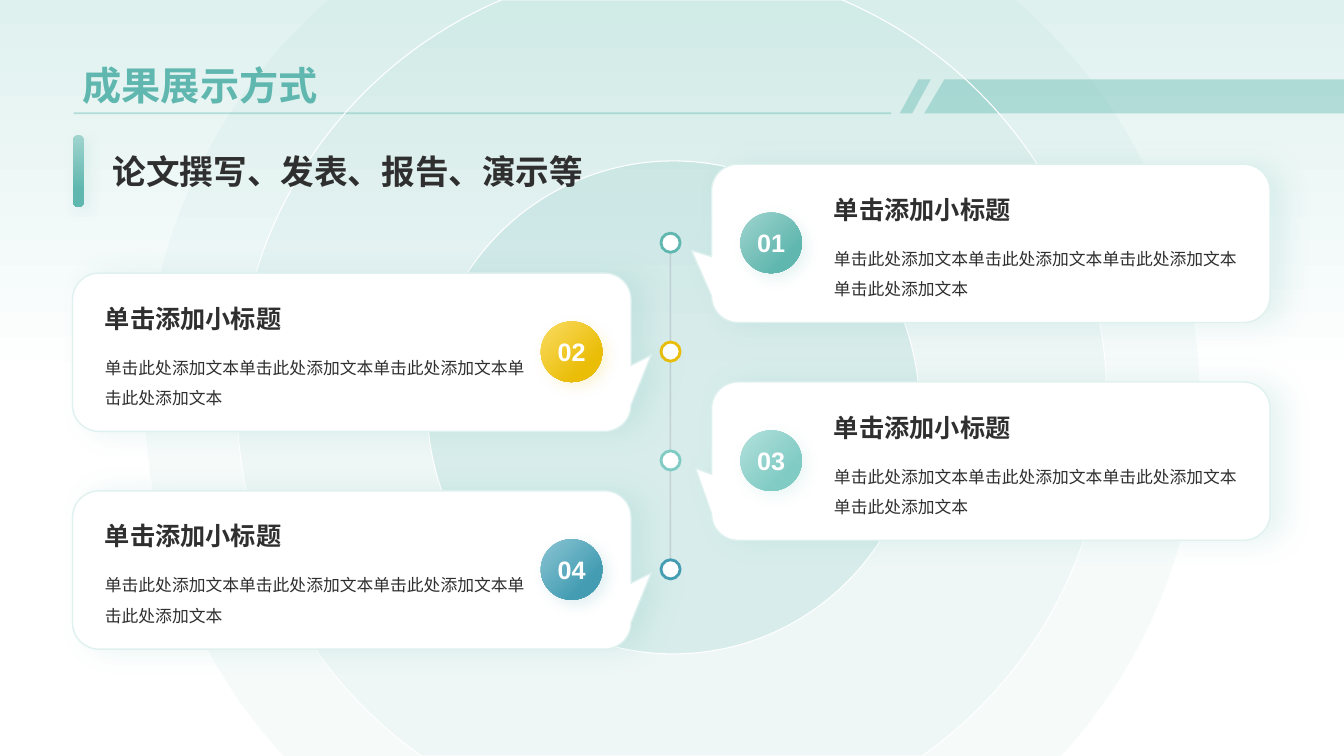
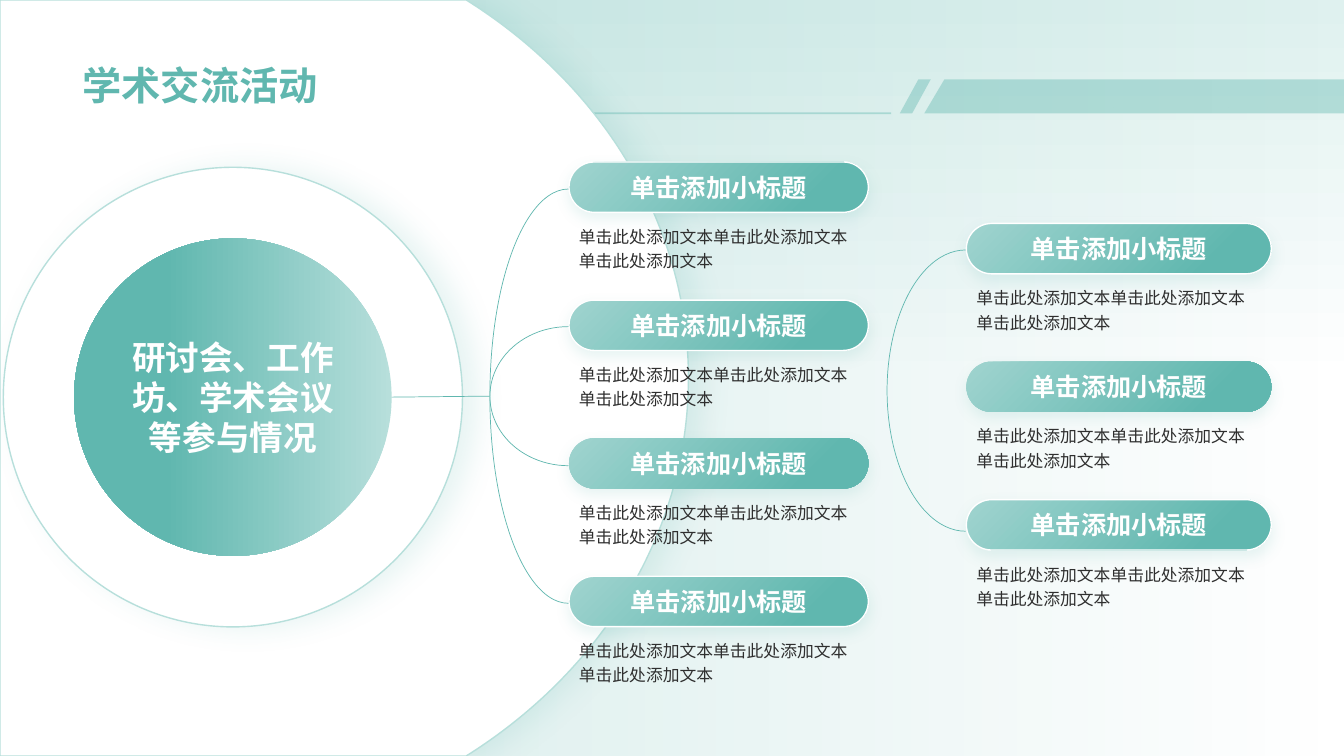
import math
from dataclasses import dataclass
from typing import NamedTuple, Optional, Union

from lxml import etree
from pptx import Presentation
from pptx import util as u
from pptx.dml.color import RGBColor
from pptx.enum import shapes, text
from pptx.oxml.ns import qn

# The slide is a grid of square cells, ten to the inch
COLUMNS, ROWS = 133.33, 75
PITCH = 10.8
PILL_PITCH = 13.7
CARD_COLUMNS, CARD_ROWS = 55.4, 15.7
FONT = "Arial"
HEADING = "单击添加小标题"
PHRASE = "单击此处添加文本"
COLORS = {
    "teal": "60B7AF", "teal_light": "A0D4CF", "teal_soft": "B7DFDB",
    "mist": "DFF1EF", "white": "FFFFFF", "ink": "2F2F2F", "gray": "ADB5BF",
    "yellow": "EABD07", "yellow_light": "FADC62",
    "mint": "80CBC4", "mint_light": "B3E0DC",
    "blue": "439CB2", "blue_light": "8BC5D4",
}


class Area(NamedTuple):
    column: float
    row: float
    columns: float
    rows: float


class Solid(NamedTuple):
    color: str
    opacity: float = 100


class Gradient(NamedTuple):
    start: str
    end: str
    stop: float
    angle: float
    opacities: tuple = (100, 100)


class Stroke(NamedTuple):
    color: str
    points: float
    opacity: float = 100


class Shadow(NamedTuple):
    color: str
    blur: float
    distance: float
    angle: float


class Type(NamedTuple):
    size: float
    color: str = "ink"
    bold: bool = False
    align: Optional[text.PP_ALIGN] = None
    spacing: Optional[float] = None


class Ellipse(NamedTuple):
    column: float
    row: float
    across: float
    down: float

    def angle_at(self, row: float) -> float:
        return math.asin((row - self.row) / self.down)

    def point(self, angle: float, pull: float = 0) -> tuple:
        """Give the point at an angle, moved along the tangent by a pull."""
        return (self.column + self.across * (math.cos(angle) - pull * math.sin(angle)),
                self.row + self.down * (math.sin(angle) + pull * math.cos(angle)))

    def curve(self, start: float, end: float) -> list:
        """Give two control points and the end of one curve."""
        pull = 4 / 3 * math.tan((end - start) / 4)
        return [self.point(start, pull), self.point(end, -pull), self.point(end)]


@dataclass
class Side:
    card: float
    badge: float
    words: float
    heading_columns: float
    body_columns: float


@dataclass
class Step:
    color: str
    side: Side
    tail: tuple


@dataclass
class PillColumn:
    column: float
    row: float
    columns: float
    outlined: tuple


MIDDLE, BOTTOM = text.MSO_ANCHOR.MIDDLE, text.MSO_ANCHOR.BOTTOM
CENTER = text.PP_ALIGN.CENTER
PRESET = shapes.MSO_SHAPE
CARD_SHADOW = Shadow("teal", 20, 10, 0)
TITLE = Type(28, "teal", True)
LEFT = Side(7.2, 53.65, 9.42, 40.6, 43.9)
RIGHT = Side(70.6, 73.45, 81.75, 39.1, 42.2)
# Tails run from the middle of a card
STEPS = [
    Step("teal", RIGHT, (-29.7, 0.7)),
    Step("yellow", LEFT, (29.7, 0.3)),
    Step("mint", RIGHT, (-29.3, 0.7)),
    Step("blue", LEFT, (29.7, 0.3)),
]
PILL_COLUMNS = [
    PillColumn(56.45, 16.07, 29.7, (True, True, False, True)),
    PillColumn(95.87, 22.17, 30.25, (True, False, True)),
]


# Measures and colours
def cells(count: float) -> u.Emu:
    return u.Inches(count / 10)


def frame(area: Area) -> list:
    return [cells(length) for length in area]


def rgb(name: str) -> RGBColor:
    return RGBColor.from_string(COLORS[name])


def set_opacity(colors: list, opacities: tuple) -> None:
    for color, opacity in zip(colors, opacities):
        if opacity < 100:
            etree.SubElement(color, qn("a:alpha"), val=str(int(opacity * 1000)))


def set_gradient(fill, gradient: Gradient) -> None:
    fill.gradient()
    fill.gradient_angle = 360 - gradient.angle
    first, last = fill.gradient_stops
    first.color.rgb, last.color.rgb = rgb(gradient.start), rgb(gradient.end)
    first.position, last.position = 0, gradient.stop


def set_stroke(shape, stroke: Stroke) -> None:
    shape.line.color.rgb = rgb(stroke.color)
    shape.line.width = u.Pt(stroke.points)
    set_opacity(shape._element.spPr.xpath("./a:ln//a:srgbClr"), (stroke.opacity,))


def paint(shape, fill: Union[Solid, Gradient, None], stroke: Optional[Stroke] = None,
          shadow: Optional[Shadow] = None) -> None:
    properties = shape._element.spPr
    shape.shadow.inherit = False
    if isinstance(fill, Gradient):
        set_gradient(shape.fill, fill)
        set_opacity(properties.xpath("./a:gradFill//a:srgbClr"), fill.opacities)
    elif fill:
        shape.fill.solid()
        shape.fill.fore_color.rgb = rgb(fill.color)
        set_opacity(properties.xpath("./a:solidFill/a:srgbClr"), (fill.opacity,))
    else:
        shape.fill.background()
    if stroke:
        set_stroke(shape, stroke)
    else:
        shape.line.fill.background()
    if shadow:
        outer = etree.SubElement(
            properties.find(qn("a:effectLst")), qn("a:outerShdw"),
            blurRad=str(u.Pt(shadow.blur)), dist=str(u.Pt(shadow.distance)),
            dir=str(shadow.angle * 60000), algn="ctr", rotWithShape="0")
        color = etree.SubElement(outer, qn("a:srgbClr"), val=COLORS[shadow.color])
        set_opacity([color], (15,))


# Drawing helpers
def write(box, words: str, style: Type, anchor=None, wrap: bool = True) -> None:
    body = box.text_frame
    body.word_wrap = wrap
    body.auto_size = text.MSO_AUTO_SIZE.NONE
    if anchor is not None:
        body.vertical_anchor = anchor
    body.text = words
    para = body.paragraphs[0]
    para.alignment = style.align or text.PP_ALIGN.LEFT
    if style.spacing:
        para.line_spacing = style.spacing
    para.font.name, para.font.size = FONT, u.Pt(style.size)
    para.font.bold, para.font.color.rgb = style.bold, rgb(style.color)


def add_text(page, area: Area, words: str, style: Type, anchor=None) -> None:
    write(page.shapes.add_textbox(*frame(area)), words, style, anchor)


def add_preset(page, kind, area: Area, fill, stroke=None, shadow=None, adjust=()):
    shape = page.shapes.add_shape(kind, *frame(area))
    for index, value in enumerate(adjust):
        shape.adjustments[index] = value
    paint(shape, fill, stroke, shadow)
    return shape


def add_outline(page, points: list, fill, stroke=None, shadow=None, curves=()) -> None:
    """Draw a closed outline; curves holds the index of each curve's first control point."""
    start, *rest = [(cells(column), cells(row)) for column, row in points]
    builder = page.shapes.build_freeform(*start)
    builder.add_line_segments(rest, close=True)
    shape = builder.convert_to_shape()
    lines = shape._element.xpath(".//a:lnTo")
    for index in curves:
        first, *others = lines[index - 1:index + 2]
        curve = etree.Element(qn("a:cubicBezTo"))
        first.addprevious(curve)
        for line in (first, *others):
            curve.append(line[0])
            line.getparent().remove(line)
    paint(shape, fill, stroke, shadow)


def add_cut_ellipse(page, ellipse: Ellipse, fill, stroke=None, shadow=None,
                    whole: bool = True) -> None:
    """Cut an ellipse at the slide's top and bottom; if not whole, fill up to the left edge."""
    top, bottom = ellipse.angle_at(0), ellipse.angle_at(ROWS)
    points = [ellipse.point(top), *ellipse.curve(top, 0), *ellipse.curve(0, bottom)]
    curves = [1, 4]
    if whole:
        half = math.pi
        points += [ellipse.point(half - bottom), *ellipse.curve(half - bottom, half),
                   *ellipse.curve(half, half - top)]
        curves += [8, 11]
    else:
        points += [(0, ROWS), (0, 0)]
    add_outline(page, points, fill, stroke, shadow, curves)


def add_line(page, start: tuple, end: tuple, stroke: Stroke):
    line = page.shapes.add_connector(
        shapes.MSO_CONNECTOR.STRAIGHT, *[cells(length) for length in start + end])
    set_stroke(line, stroke)
    etree.SubElement(line._element.spPr, qn("a:effectLst"))
    return line


# Shared parts
def start_page(deck):
    page = deck.slides.add_slide(deck.slide_layouts[5])
    set_gradient(page.background.fill, Gradient("mist", "white", 0.51, 90))
    band = Solid("teal", 40)
    add_outline(page, [(93.7, 7.87), (COLUMNS, 7.87), (COLUMNS, 11.24), (91.7, 11.24)], band)
    add_preset(page, PRESET.PARALLELOGRAM, Area(89.27, 7.87, 3.07, 3.37), band, adjust=(0.6,))
    add_line(page, (7.3, 11.24), (88.4, 11.24), Stroke("teal", 1.25, 40))
    return page


def place_title(page, words: str) -> None:
    title = page.shapes.title
    title.left, title.top, title.width, title.height = frame(Area(7.2, 1.4, 118.8, 9.85))
    write(title, words, TITLE, BOTTOM)
    page.shapes._spTree.append(title._element)


# Slide 1: timeline with cards
def add_step(page, index: int, step: Step) -> None:
    side, row = step.side, 16.3 + PITCH * index
    tail = (step.tail[0] / CARD_COLUMNS, step.tail[1] / CARD_ROWS)
    add_preset(page, PRESET.ROUNDED_RECTANGULAR_CALLOUT,
               Area(side.card, row, CARD_COLUMNS, CARD_ROWS),
               Solid("white"), Stroke("mist", 1), CARD_SHADOW, tail)
    badge = add_preset(page, PRESET.ROUNDED_RECTANGLE, Area(side.badge, row + 4.8, 6.1, 6),
                       Gradient(step.color + "_light", step.color, 0.75, 45),
                       shadow=Shadow(step.color, 10, 5, 45), adjust=(0.5,))
    write(badge, f"{index + 1:02}", Type(18, "white", True, CENTER), MIDDLE, wrap=False)
    add_text(page, Area(side.words, row + 1.45, side.heading_columns, 5), HEADING,
             Type(18, bold=True), BOTTOM)
    add_text(page, Area(side.words, row + 6.87, side.body_columns, 8.8), PHRASE * 4,
             Type(12, spacing=1.5))


def build_results(deck) -> None:
    page = start_page(deck)
    edge = Stroke("white", 0.75)
    add_cut_ellipse(page, Ellipse(66.7, 39.7, 52.3, 52.3), Solid("teal", 5))
    add_cut_ellipse(page, Ellipse(66.65, 39.7, 43.15, 43.15), Solid("teal", 5), edge)
    add_preset(page, PRESET.OVAL, Area(42.4, 15.97, 48.8, 48.9), Solid("teal", 15), edge)
    add_line(page, (66.5, 24.5), (66.5, 56.5), Stroke("gray", 1, 50))
    for index, step in enumerate(STEPS):
        add_preset(page, PRESET.OVAL, Area(65.57, 23.13 + PITCH * index, 1.9, 1.9),
                   Solid("white"), Stroke(step.color, 2))
    add_text(page, Area(10.2, 12.4, 52.3, 9.2), "论文撰写、发表、报告、演示等",
             Type(24, bold=True), MIDDLE)
    add_preset(page, PRESET.ROUNDED_RECTANGLE, Area(7.23, 13.37, 1.1, 7.17),
               Gradient("teal_light", "teal", 0.75, 90),
               shadow=Shadow("teal", 10, 5, 45), adjust=(0.5,))
    for index, step in enumerate(STEPS):
        add_step(page, index, step)
    place_title(page, "成果展示方式")


# Slide 2: hub with two columns of pills
def add_pills(page, group: PillColumn) -> None:
    for index, outlined in enumerate(group.outlined):
        row = group.row + PILL_PITCH * index
        add_text(page, Area(group.column, row + 5.52, group.columns, 7.1), PHRASE * 3,
                 Type(12, spacing=1.2))
        pill = add_preset(page, PRESET.ROUNDED_RECTANGLE,
                          Area(group.column, row, group.columns, 5),
                          Gradient("teal_light", "teal", 0.8, 45),
                          Stroke("white", 1) if outlined else None,
                          Shadow("teal", 10, 4, 90), (0.5,))
        write(pill, HEADING, Type(18, "white", True, CENTER), MIDDLE)


def build_exchange(deck) -> None:
    page = start_page(deck)
    add_preset(page, PRESET.ROUNDED_RECTANGLE, Area(0, 0, COLUMNS, ROWS),
               Gradient("teal", "teal", 1, 180, (0, 30)), adjust=(0,))
    edge, thin = Stroke("teal_soft", 1), Stroke("teal", 0.5)
    add_cut_ellipse(page, Ellipse(15.3, 37.5, 53, 46.2), Solid("white"), edge, CARD_SHADOW,
                    whole=False)
    for group in PILL_COLUMNS:
        add_pills(page, group)
    add_preset(page, PRESET.OVAL, Area(0.33, 16.6, 45.55, 45.6), Solid("white"), edge, CARD_SHADOW)
    hub = add_preset(page, PRESET.ROUNDED_RECTANGLE, Area(7.35, 23.65, 31.5, 31.5),
                     Gradient("teal_soft", "teal", 0.71, 180), adjust=(0.5,))
    write(hub, "研讨会、工作坊、学术会议等参与情况", Type(24, "white", True, CENTER), MIDDLE)
    brackets = [
        add_preset(page, PRESET.LEFT_BRACKET, area, None, thin, adjust=(2.63,))
        for area in (Area(48.6, 18.75, 7.8, 41.1), Area(48.6, 32.4, 7.8, 13.8),
                     Area(88, 24.8, 7.8, 27.9))
    ]
    link = add_line(page, (48.6, 39.3), (38.85, 39.4), thin)
    link.begin_connect(brackets[0], 1)
    link.end_connect(hub, 3)
    place_title(page, "学术交流活动")


def main() -> None:
    deck = Presentation()
    deck.slide_width, deck.slide_height = cells(COLUMNS), cells(ROWS)
    build_results(deck)
    build_exchange(deck)
    deck.save("out.pptx")


if __name__ == "__main__":
    main()
